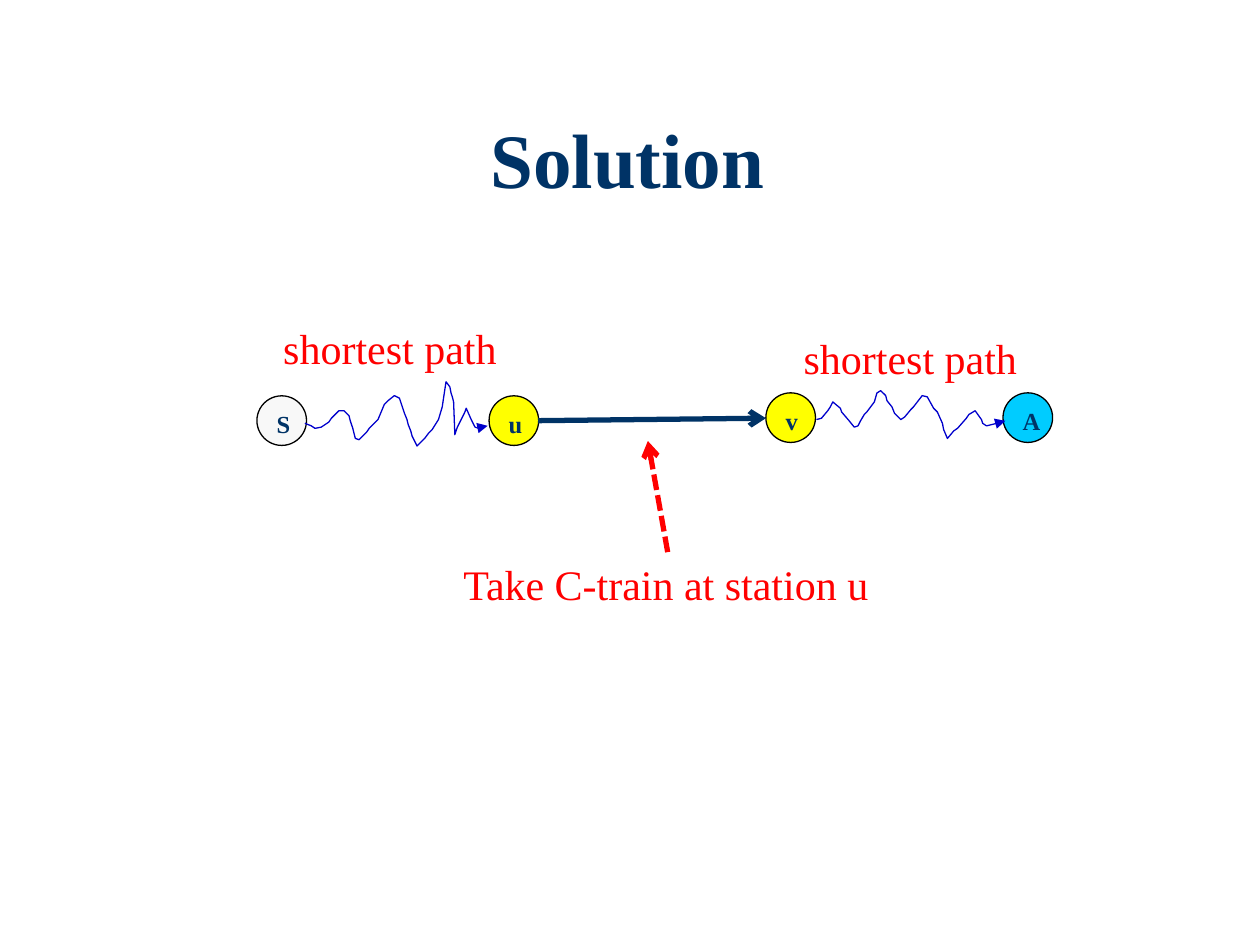
from lxml import etree
from pptx import Presentation
from pptx.dml.color import RGBColor
from pptx.enum.dml import MSO_LINE
from pptx.enum.shapes import MSO_CONNECTOR, MSO_SHAPE
from pptx.enum.text import MSO_ANCHOR, MSO_AUTO_SIZE, PP_ALIGN
from pptx.oxml.ns import qn
from pptx.util import Cm, Pt

OVAL = MSO_SHAPE.OVAL
STRAIGHT = MSO_CONNECTOR.STRAIGHT
DASHED = MSO_LINE.SQUARE_DOT
TOP, MIDDLE = MSO_ANCHOR.TOP, MSO_ANCHOR.MIDDLE
LEFT, CENTER = PP_ALIGN.LEFT, PP_ALIGN.CENTER
GROW = MSO_AUTO_SIZE.SHAPE_TO_FIT_TEXT
NO_FIT = MSO_AUTO_SIZE.NONE

NAVY, RED, BLUE, YELLOW = "003366", "FF0000", "0000CC", "FFFF00"
FONT = "Times New Roman"
TITLE_FORMAT = {"name": FONT, "size": Pt(44), "bold": True}
NODE_FORMAT = {"name": FONT, "size": Pt(14), "bold": True}
LABEL_FORMAT = {"name": FONT, "size": Pt(24), "bold": False}

NODE_SIZE = 1.0
NODES = [
    ("S", 5.18, 7.98, "F8F8F8"),
    ("A", 20.22, 7.92, "00CCFF"),
    ("u", 9.86, 7.98, YELLOW),
    ("v", 15.44, 7.92, YELLOW),
]
LABELS = [
    ("shortest path", 5.46, 6.38, 5.0),
    ("shortest path", 15.95, 6.58, 5.0),
    ("Take C-train at station u", 9.09, 11.13, 8.74),
]
# Path points are counted in steps of 0.0254 cm.
PATH_STEP = Cm(0.0254)
PATH_S_TO_U = [
    (242, 336), (247, 338), (250, 340), (255, 339), (261, 335), (263, 332),
    (269, 326), (273, 326), (277, 330), (278, 334), (280, 340), (281, 344),
    (282, 348), (285, 349), (291, 343), (293, 340), (300, 333), (305, 321),
    (308, 318), (313, 314), (317, 316), (318, 319), (321, 328), (323, 333),
    (324, 337), (326, 342), (327, 346), (331, 354), (337, 348), (340, 344),
    (343, 341), (348, 333), (351, 323), (352, 316), (354, 303), (357, 307),
    (358, 312), (359, 315), (360, 319), (361, 345), (363, 339), (367, 331),
    (369, 327), (370, 324), (374, 333), (377, 339), (380, 340), (387, 338),
]
PATH_V_TO_A = [
    (648, 333), (652, 332), (657, 326), (659, 323), (661, 319), (667, 324),
    (668, 327), (674, 334), (678, 339), (681, 338), (683, 334), (686, 329),
    (688, 327), (694, 319), (696, 312), (699, 310), (703, 314), (704, 318),
    (708, 323), (710, 328), (715, 333), (718, 331), (723, 325), (725, 323),
    (732, 314), (736, 315), (741, 324), (744, 327), (748, 336), (749, 341),
    (752, 348), (757, 342), (760, 340), (767, 332), (769, 329), (774, 326),
    (779, 333), (780, 336), (783, 338), (791, 336), (798, 334),
]


def color(value):
    return RGBColor.from_string(value)


def write_text(shape, text, formats, text_color, align=LEFT, anchor=TOP,
               wrap=False, fit=NO_FIT):
    frame = shape.text_frame
    settings = {"word_wrap": wrap, "auto_size": fit, "vertical_anchor": anchor}
    for name, value in settings.items():
        setattr(frame, name, value)
    para = frame.paragraphs[0]
    para.alignment = align
    span = para.add_run()
    span.text = text
    for name, value in formats.items():
        setattr(span.font, name, value)
    span.font.color.rgb = color(text_color)
    return para


def add_title(page, text):
    title = page.shapes.title
    title.left, title.top = Cm(2.49), Cm(2.13)
    title.width, title.height = Cm(20.32), Cm(2.34)
    para = write_text(title, text, TITLE_FORMAT, NAVY, CENTER, MIDDLE, True)
    para.line_spacing = 0.9


def add_node(page, text, left, top, fill):
    node = page.shapes.add_shape(
        OVAL, Cm(left), Cm(top), Cm(NODE_SIZE), Cm(NODE_SIZE))
    node.shadow.inherit = False
    node.fill.solid()
    node.fill.fore_color.rgb = color(fill)
    style_line(node.line, "000000", 0.75)
    write_text(node, text, NODE_FORMAT, NAVY)


def add_label(page, text, left, top, width):
    box = page.shapes.add_textbox(Cm(left), Cm(top), Cm(width), Cm(1.27))
    write_text(box, text, LABEL_FORMAT, RED, fit=GROW)


def style_line(line, line_color, width):
    line.color.rgb = color(line_color)
    line.width = Pt(width)


def add_arrowhead(line, kind):
    """Put an arrowhead at the end of a line that is already styled."""
    properties = line._get_or_add_ln()
    etree.SubElement(properties, qn("a:tailEnd"), type=kind)


def add_wavy_path(page, points):
    builder = page.shapes.build_freeform(*points[0], scale=PATH_STEP)
    builder.add_line_segments(points[1:], close=False)
    wave = builder.convert_to_shape()
    wave.shadow.inherit = False
    wave.fill.background()
    style_line(wave.line, BLUE, 0.75)
    add_arrowhead(wave.line, "triangle")


def add_arrow(page, start, end, line_color, dash=None):
    ends = [Cm(value) for value in (*start, *end)]
    arrow = page.shapes.add_connector(STRAIGHT, *ends)
    style_line(arrow.line, line_color, 3)
    if dash:
        arrow.line.dash_style = dash
    add_arrowhead(arrow.line, "arrow")
    etree.SubElement(arrow._element.spPr, qn("a:effectLst"))


def main():
    deck = Presentation()
    deck.slide_width, deck.slide_height = Cm(25.4), Cm(19.05)
    page = deck.slides.add_slide(deck.slide_layouts[5])

    add_title(page, "Solution")
    for node in NODES:
        add_node(page, *node)
    for points in (PATH_S_TO_U, PATH_V_TO_A):
        add_wavy_path(page, points)
    for label in LABELS:
        add_label(page, *label)
    add_arrow(page, (10.85, 8.48), (15.44, 8.43), NAVY)
    add_arrow(page, (13.46, 11.13), (13.06, 8.89), RED, DASHED)

    deck.save("out.pptx")


if __name__ == "__main__":
    main()
